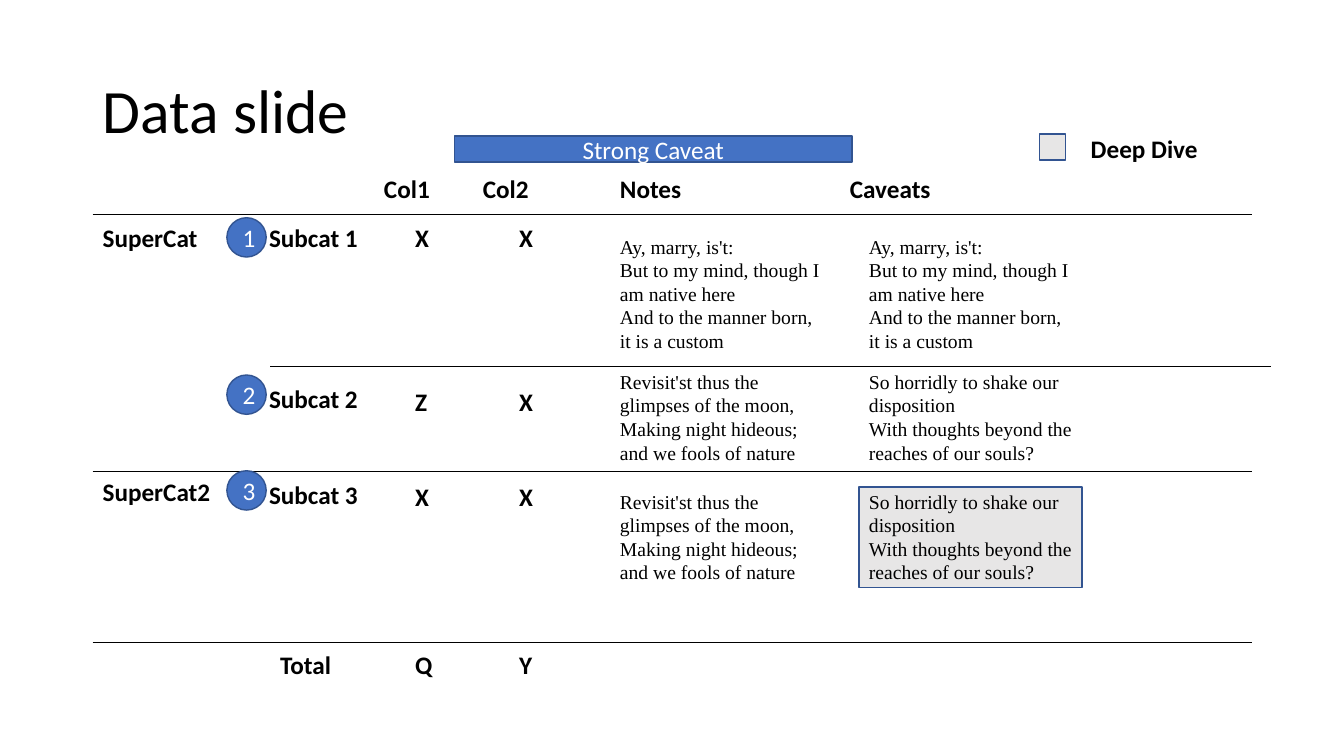
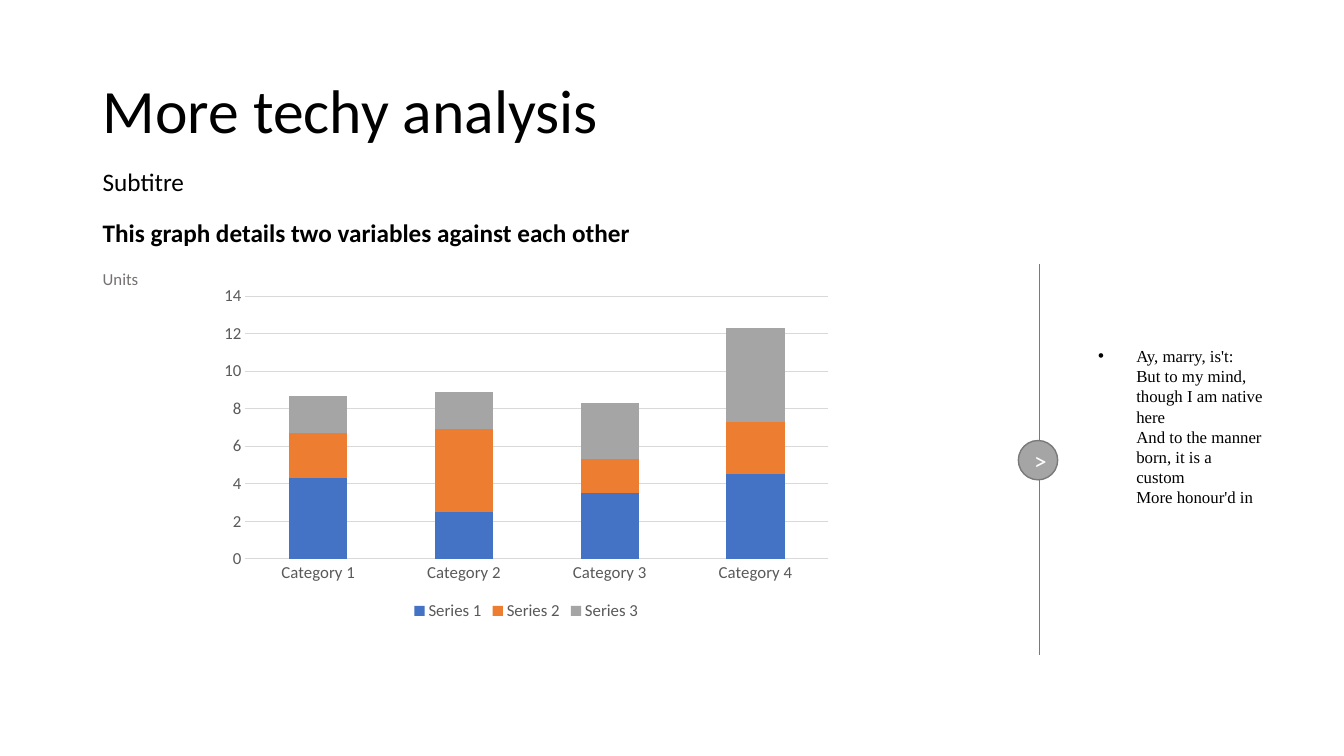
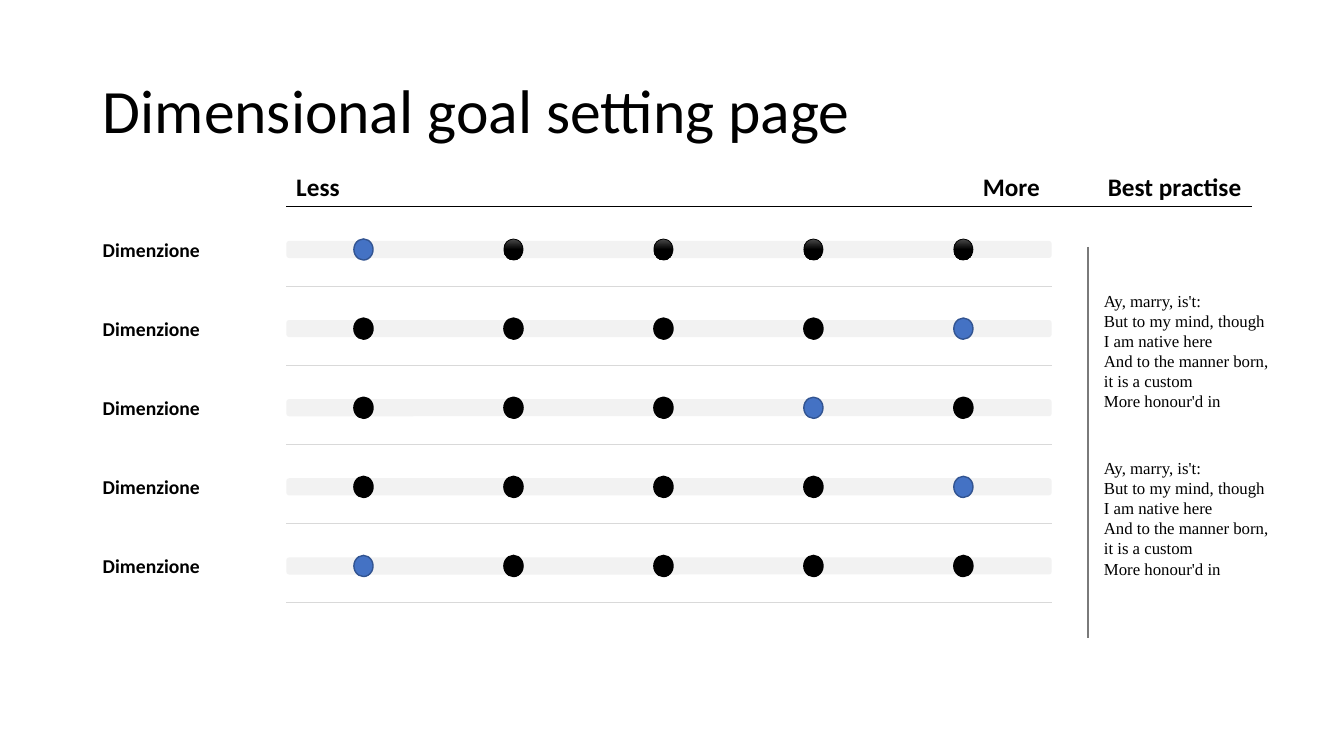
from dataclasses import dataclass
from typing import NamedTuple

from lxml import etree
from pptx import Presentation
from pptx.chart.data import CategoryChartData
from pptx.dml.color import RGBColor
from pptx.enum import chart as ch, shapes as sh, text as tx
from pptx.oxml import ns
from pptx.util import Inches, Pt


@dataclass(frozen=True)
class Theme:
    sans: str = "Calibri"
    serif: str = "Times New Roman"
    black: str = "000000"
    white: str = "FFFFFF"
    blue: str = "4472C4"
    navy: str = "325491"
    orange: str = "ED7D31"
    gray: str = "A5A5A5"
    edge: str = "7A7A7A"
    unit: str = "767171"
    axis: str = "595959"
    grid: str = "D9D9D9"
    pale: str = "E7E6E6"
    track: str = "F2F2F2"
    sheen: str = "4B4B4B"
    title: int = 44
    head: int = 18
    note: int = 14
    small: int = 12


class Label(NamedTuple):
    text: str
    x: float
    y: float
    w: float


class Rule(NamedTuple):
    x1: float
    y1: float
    x2: float
    y2: float


class Row(NamedTuple):
    name: str
    y: float
    mark_y: float
    marks: str


T = Theme()
LEFT, RIGHT = 0.92, 12.42
SHAPE = sh.MSO_SHAPE
MARRY = ("Ay, marry, is't:\nBut to my mind, though I am native here\n"
         "And to the manner born, it is a custom")
CUSTOM = MARRY + "\nMore honour'd in"
MOON = ("Revisit'st thus the glimpses of the moon,\n"
        "Making night hideous; and we fools of nature")
SOULS = ("So horridly to shake our disposition\n"
         "With thoughts beyond the reaches of our souls?")


def rgb(code: str) -> RGBColor:
    return RGBColor.from_string(code)


def place(shape, x: float, y: float, w: float, h: float) -> None:
    shape.left, shape.top = Inches(x), Inches(y)
    shape.width, shape.height = Inches(w), Inches(h)


def write(frame, text: str, *, size=T.head, font=T.sans, color=T.black,
          bold=False, align=tx.PP_ALIGN.LEFT, anchor=tx.MSO_ANCHOR.TOP,
          space=1.0, bullet=False) -> None:
    """Put one formatted paragraph, with line breaks, into a text frame."""
    frame.word_wrap = True
    frame.auto_size = tx.MSO_AUTO_SIZE.NONE
    frame.vertical_anchor = anchor
    para = frame.paragraphs[0]
    para.text = text
    para.alignment, para.line_spacing = align, space
    para.space_before = Pt(0)
    if bullet:
        props = para._p.get_or_add_pPr()
        props.set("marL", str(Inches(0.38)))
        props.set("indent", str(-Inches(0.38)))
        etree.SubElement(props, ns.qn("a:buFont"), typeface="Arial")
        etree.SubElement(props, ns.qn("a:buChar"), char="•")
    for run in para.runs:
        face = run.font
        face.name, face.size, face.bold = font, Pt(size), bold
        face.color.rgb = rgb(color)


def label(slide, item: Label, h=0.4, **style) -> None:
    box = slide.shapes.add_textbox(0, 0, 0, 0)
    place(box, item.x, item.y, item.w, h)
    write(box.text_frame, item.text, **style)


def quote(slide, text: str, x: float, y: float, w: float, h: float,
          size: int) -> None:
    label(slide, Label(text, x, y, w), h, size=size, font=T.serif)


def block(slide, kind, x: float, y: float, w: float, h: float, fill=T.blue,
          line: str | None = T.navy, width=1.0, text=""):
    shape = slide.shapes.add_shape(kind, 0, 0, 0, 0)
    place(shape, x, y, w, h)
    shape.shadow.inherit = False
    shape.fill.solid()
    shape.fill.fore_color.rgb = rgb(fill)
    if line:
        shape.line.color.rgb = rgb(line)
        shape.line.width = Pt(width)
    else:
        shape.line.fill.background()
    if text:
        write(shape.text_frame, text, color=T.white,
              align=tx.PP_ALIGN.CENTER, anchor=tx.MSO_ANCHOR.MIDDLE)
    return shape


def badge(slide, text: str, x: float, y: float, **style) -> None:
    block(slide, SHAPE.OVAL, x, y, 0.39, 0.39, text=text, **style)


def rule(slide, ends: Rule, color=T.black, width=0.5) -> None:
    line = slide.shapes.add_connector(
        sh.MSO_CONNECTOR.STRAIGHT, *(Inches(v) for v in ends))
    line.line.color.rgb = rgb(color)
    line.line.width = Pt(width)
    etree.SubElement(line._element.spPr, ns.qn("a:effectLst"))


def start(deck, title: str, layout=5):
    """Add a slide with the shared title style."""
    slide = deck.slides.add_slide(deck.slide_layouts[layout])
    head = slide.shapes.title
    place(head, LEFT, 0.4, 11.5, 1.45)
    write(head.text_frame, title, size=T.title,
          anchor=tx.MSO_ANCHOR.MIDDLE, space=0.9)
    return slide


def data(deck) -> None:
    slide = start(deck, "Data slide")
    block(slide, SHAPE.RECTANGLE, 8.52, 4.83, 2.21, 1, fill=T.pale)
    for y in (2.13, 4.68, 6.37):
        rule(slide, Rule(LEFT, y, RIGHT, y))
    rule(slide, Rule(2.68, 3.63, 12.61, 3.63))

    heads = [
        Label("Col1", 3.71, 1.67, 0.81), Label("Col2", 4.69, 1.67, 0.81),
        Label("Notes", 6.05, 1.67, 0.81), Label("Caveats", 8.33, 1.67, 1.3),
        Label("SuperCat", LEFT, 2.16, 1.33),
        Label("SuperCat2", LEFT, 4.68, 1.33),
        Label("Total", 2.68, 6.39, 0.81),
        Label("Deep Dive", 10.72, 1.27, 1.33),
    ]
    rows = [Row("Subcat 1", 2.16, 2.16, "XX"), Row("Subcat 2", 3.75, 3.78, "ZX"),
            Row("Subcat 3", 4.71, 4.73, "XX"), Row("", 6.39, 6.39, "QY")]
    for row in rows:
        if row.name:
            heads.append(Label(row.name, 2.57, row.y, 1.33))
        heads += [Label(mark, x, row.mark_y, 0.3)
                  for mark, x in zip(row.marks, (4.02, 5.05))]
    for head in heads:
        label(slide, head, bold=True)

    for y, h, note, caveat in ((2.28, 1.28, MARRY, MARRY),
                               (3.62, 1.04, MOON, SOULS),
                               (4.81, 1.04, MOON, SOULS)):
        quote(slide, note, 6.05, y, 2.21, h, T.note)
        quote(slide, caveat, 8.52, y, 2.21, h, T.note)

    block(slide, SHAPE.RECTANGLE, 4.51, 1.35, 3.94, 0.26, text="Strong Caveat")
    for num, y in enumerate((2.16, 3.72, 4.67), 1):
        badge(slide, str(num), 2.25, y)
    block(slide, SHAPE.RECTANGLE, 10.31, 1.33, 0.26, 0.26, fill=T.pale)


def chart(slide) -> None:
    table = CategoryChartData()
    table.categories = [f"Category {n}" for n in range(1, 5)]
    table.add_series("Series 1", (4.3, 2.5, 3.5, 4.5))
    table.add_series("Series 2", (2.4, 4.4, 1.8, 2.8))
    table.add_series("Series 3", (2, 2, 3, 5))
    graph = slide.shapes.add_chart(
        ch.XL_CHART_TYPE.COLUMN_STACKED, Inches(2.1), Inches(2.77),
        Inches(6.24), Inches(3.43), table).chart
    graph.has_title = False
    graph.font.name, graph.font.size = T.sans, Pt(T.small)
    graph.font.color.rgb = rgb(T.axis)
    graph.has_legend = True
    graph.legend.position = ch.XL_LEGEND_POSITION.BOTTOM
    graph.legend.include_in_layout = False

    plot = graph.plots[0]
    plot.gap_width, plot.overlap = 150, 100
    plot.vary_by_categories = False
    for series, color in zip(plot.series, (T.blue, T.orange, T.gray)):
        series.format.fill.solid()
        series.format.fill.fore_color.rgb = rgb(color)

    cats, vals = graph.category_axis, graph.value_axis
    for axis in (cats, vals):
        axis.major_tick_mark = axis.minor_tick_mark = ch.XL_TICK_MARK.NONE
    vals.format.line.fill.background()
    vals.has_major_gridlines = True
    for line in (cats.format.line, vals.major_gridlines.format.line):
        line.color.rgb = rgb(T.grid)
        line.width = Pt(0.75)


def study(deck) -> None:
    slide = start(deck, "More techy analysis", layout=1)
    rule(slide, Rule(10.31, 2.62, 10.31, 6.5), T.edge, 1)
    badge(slide, ">", 10.1, 4.37, fill=T.gray, line=T.edge)
    body = slide.placeholders[1]
    place(body, 10.79, 3.38, 1.85, 1.92)
    write(body.text_frame, CUSTOM, size=T.small, font=T.serif, bullet=True)
    label(slide, Label("Subtitre", LEFT, 1.6, 1.18))
    label(slide, Label("This graph details two variables against each other",
                       LEFT, 2.11, 5.75), bold=True)
    label(slide, Label("Units", LEFT, 2.62, 0.68), 0.3,
          size=T.small, color=T.unit)
    chart(slide)


def shine(shape) -> None:
    """Give a dot a vertical gradient that is black from the middle down."""
    shape.fill.gradient()
    shape.fill.gradient_angle = 270
    for stop, color, pos in zip(shape.fill.gradient_stops,
                                (T.sheen, T.black), (0, 0.5)):
        stop.color.rgb = rgb(color)
        stop.position = pos


def goals(deck) -> None:
    slide = start(deck, "Dimensional goal setting page")
    for head in (Label("Less", 2.84, 1.65, 0.66),
                 Label("More", 9.65, 1.65, 0.78),
                 Label("Best practise", 10.89, 1.65, 1.63)):
        label(slide, head, bold=True)
    rule(slide, Rule(2.84, 2.05, RIGHT, 2.05))

    pitch, gap = (5.45 - 2.31) / 4, (9.46 - 3.51) / 4
    for row, goal in enumerate((0, 4, 3, 4, 0)):
        y = 2.31 + row * pitch
        label(slide, Label("Dimenzione", LEFT, y, 1.22), 0.34,
              size=T.note, bold=True)
        block(slide, SHAPE.ROUNDED_RECTANGLE, 2.84, y + 0.08, 7.59, 0.17,
              fill=T.track, line=None)
        for col in range(5):
            fill, line = (T.blue, T.navy) if col == goal else (T.black, T.black)
            glossy = row == 0 and col != goal
            dot = block(slide, SHAPE.OVAL, 3.51 + col * gap, y + 0.06,
                        0.19, 0.21, fill, line, 0.5 if glossy else 1)
            if glossy:
                shine(dot)
        rule(slide, Rule(2.84, y + 0.53, 10.43, y + 0.53), T.grid)

    rule(slide, Rule(10.79, 2.45, 10.79, 6.33), T.edge, 1)
    for y in (2.83, 4.49):
        quote(slide, CUSTOM, 10.85, y, 1.85, 1.51, T.small)


def main() -> None:
    deck = Presentation()
    deck.slide_width, deck.slide_height = Inches(13.33), Inches(7.5)
    for build in (data, study, goals):
        build(deck)
    deck.save("out.pptx")


if __name__ == "__main__":
    main()
